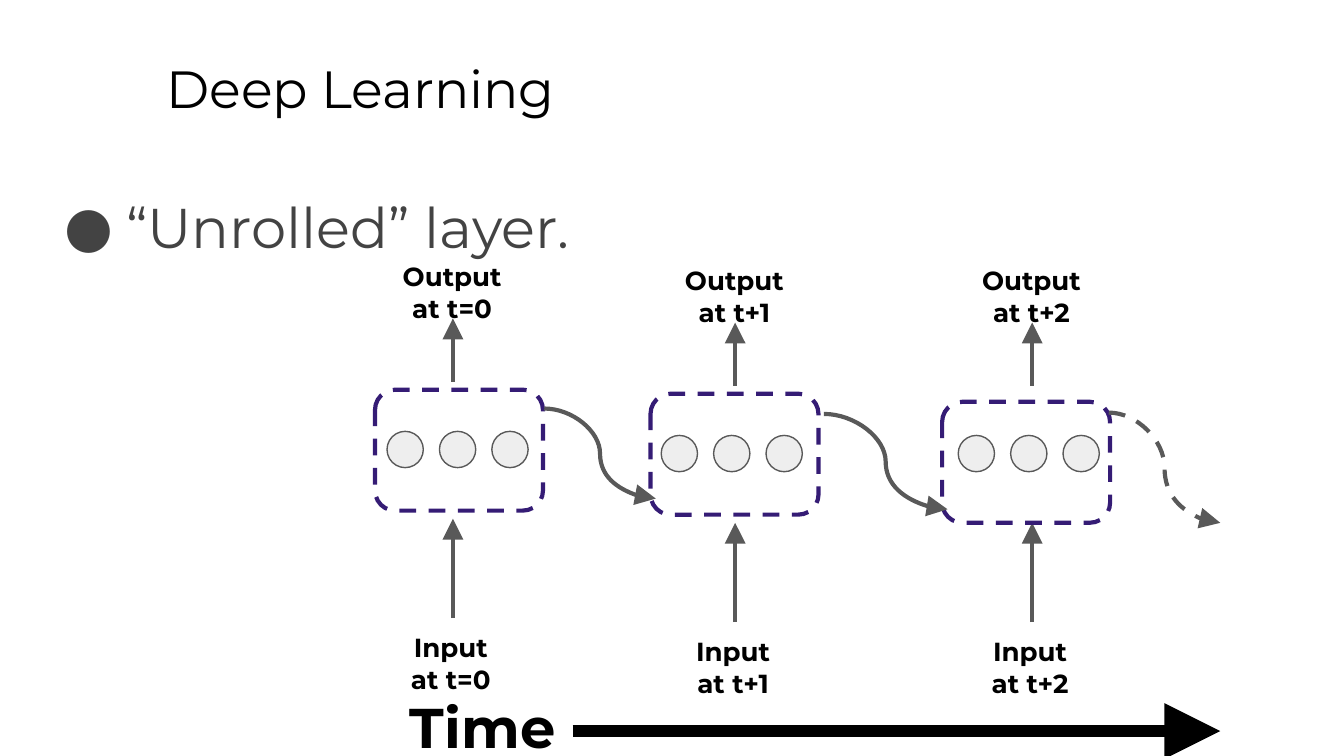
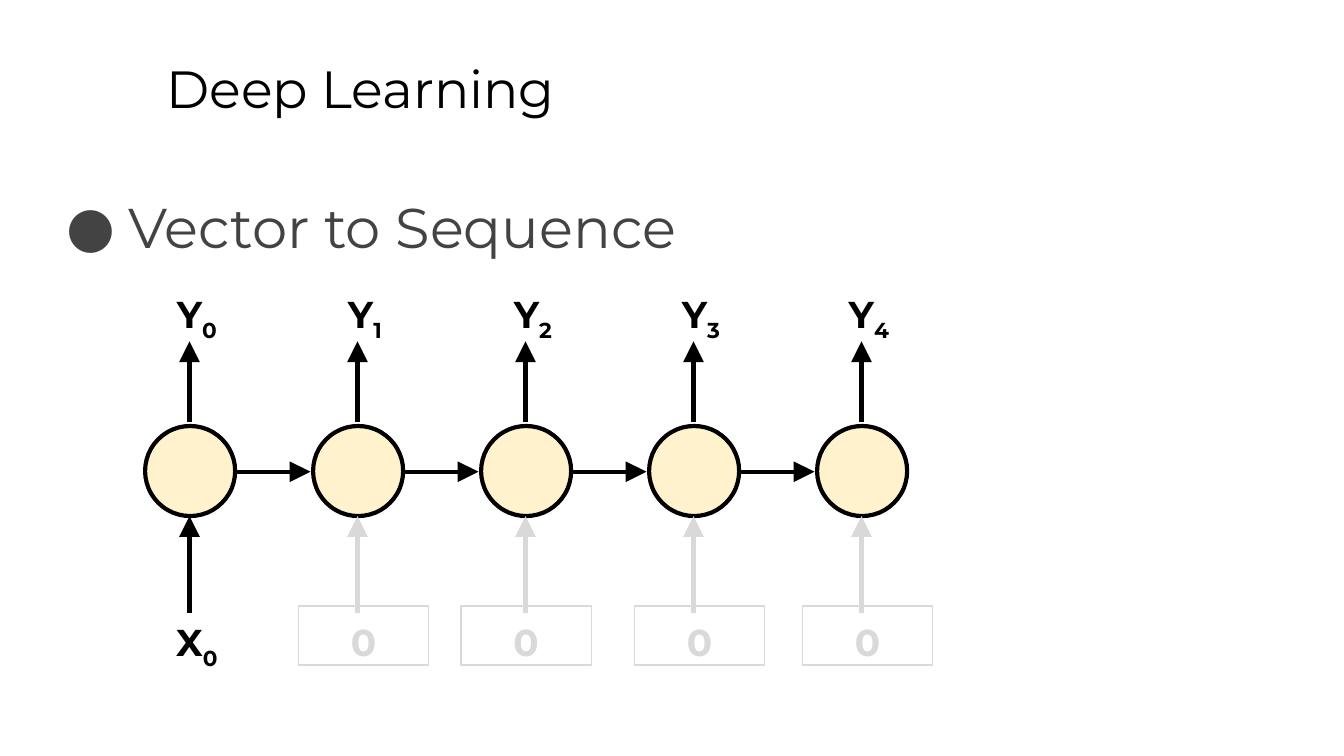
"""Build two slides on unrolled recurrent layers and vector-to-sequence networks."""

from lxml import etree
from pptx import Presentation
from pptx.dml.color import RGBColor
from pptx.enum.dml import MSO_LINE
from pptx.enum.shapes import MSO_CONNECTOR as LINK, MSO_SHAPE as SHAPE
from pptx.enum.text import MSO_ANCHOR, PP_ALIGN
from pptx.oxml.ns import qn
from pptx.util import Inches, Pt

COLORS = {
    "black": "000000",
    "body": "434343",
    "arrow": "595959",
    "layer": "351C75",
    "unit": "EEEEEE",
    "neuron": "FFF2CC",
    "muted": "D9D9D9",
}
FONT = "Montserrat"


def add_box(slide, box, kind=None, fill=None, line=None, width=0.75, dashed=False,
            lines=(), subscript="", size=14, color="black", bold=True, align=PP_ALIGN.CENTER):
    """Add a preset shape, or a text box when no kind is given, and return it."""
    lengths = [Inches(value) for value in box]
    if kind is None:
        shape = slide.shapes.add_textbox(*lengths)
    else:
        shape = slide.shapes.add_shape(kind, *lengths)
        shape.shadow.inherit = False
        if fill:
            shape.fill.solid()
            shape.fill.fore_color.rgb = RGBColor.from_string(COLORS[fill])
        else:
            shape.fill.background()
        shape.line.color.rgb = RGBColor.from_string(COLORS[line])
        shape.line.width = Pt(width)
        if dashed:
            shape.line.dash_style = MSO_LINE.DASH
    frame = shape.text_frame
    frame.word_wrap = True
    frame.vertical_anchor = MSO_ANCHOR.TOP
    frame.margin_left = frame.margin_right = Inches(0.1)
    frame.margin_top = frame.margin_bottom = Inches(0.1)
    for index, text in enumerate(lines):
        paragraph = frame.add_paragraph() if index else frame.paragraphs[0]
        paragraph.alignment = align
        for part in filter(None, (text, subscript)):
            run = paragraph.add_run()
            run.text = part
            run.font.name = FONT
            run.font.size = Pt(size)
            run.font.bold = bold
            run.font.color.rgb = RGBColor.from_string(COLORS[color])
        if subscript:
            run._r.get_or_add_rPr().set("baseline", "-25000")
    return shape


def add_arrow(slide, start, end, color="black", width=2.25, kind=LINK.STRAIGHT, dashed=False):
    """Add a connector with a large triangle at its end."""
    arrow = slide.shapes.add_connector(kind, *[Inches(value) for value in (*start, *end)])
    arrow.line.color.rgb = RGBColor.from_string(COLORS[color])
    arrow.line.width = Pt(width)
    if dashed:
        arrow.line.dash_style = MSO_LINE.DASH
    properties = arrow._element.spPr
    etree.SubElement(properties.find(qn("a:ln")), qn("a:tailEnd"),
                     type="triangle", w="lg", len="lg")
    etree.SubElement(properties, qn("a:effectLst"))


presentation = Presentation()
presentation.slide_width = Inches(10)
presentation.slide_height = Inches(10) * 9 // 16

slides = []
for topic, left, height in (("“Unrolled” layer.", 0.34, 0.85), ("Vector to Sequence", 0.36, 0.77)):
    slide = presentation.slides.add_slide(presentation.slide_layouts[6])
    add_box(slide, (1.14, 0.32, 8.52, 0.63), lines=["Deep Learning"], size=28,
            bold=False, align=PP_ALIGN.LEFT)
    body = add_box(slide, (left, 1.26, 9.52, height), lines=[topic], size=30,
                   color="body", bold=False, align=PP_ALIGN.LEFT)
    paragraph = body.text_frame.paragraphs[0]
    paragraph.line_spacing = 1.15
    paragraph.space_after = Pt(16)
    properties = paragraph._p.get_or_add_pPr()
    properties.set("marL", str(Inches(0.5)))
    properties.set("indent", str(Inches(-0.46)))
    bullet_color = etree.SubElement(properties, qn("a:buClr"))
    etree.SubElement(bullet_color, qn("a:srgbClr"), val=COLORS["body"])
    etree.SubElement(properties, qn("a:buFont"), typeface=FONT)
    etree.SubElement(properties, qn("a:buChar"), char="●")
    slides.append(slide)
unrolled, sequence = slides

time_steps = [
    (["Output at t=0"], ["Input", "at t=0"], 3.37, 0, (2.79, 2.9), 2.88),
    (["Output at t+1"], ["Input at t+1"], 5.47, 0.03, (4.84, 2.93), 4.92),
    (["Output at t+2"], ["Input at t+2"], 7.68, 0.03, (7.01, 2.99), 7.13),
]
for output_lines, input_lines, center, drop, layer_corner, first_unit in time_steps:
    add_arrow(unrolled, (center, 2.84 + drop), (center, 2.37 + drop), "arrow")
    add_arrow(unrolled, (center, 4.6 + drop), (center, 3.86 + drop), "arrow")
    add_box(unrolled, (center - 0.49, 1.84 + drop, 0.97, 0.37), lines=output_lines)
    add_box(unrolled, (center - 0.5, 4.6 + drop, 0.97, 0.37), lines=input_lines)
    add_box(unrolled, (*layer_corner, 1.25, 0.9), SHAPE.ROUNDED_RECTANGLE,
            line="layer", width=2.25, dashed=True)
    for unit in range(3):
        add_box(unrolled, (first_unit + 0.39 * unit, 3.21 + drop, 0.27, 0.27), SHAPE.OVAL,
                fill="unit", line="arrow")

state_links = [
    ((4.05, 3.04), (4.88, 3.71), False),
    ((6.13, 3.08), (7.05, 3.79), False),
    ((8.25, 3.07), (9.08, 3.89), True),
]
for start, end, dashed in state_links:
    add_arrow(unrolled, start, end, "arrow", kind=LINK.CURVE, dashed=dashed)

add_box(unrolled, (2.95, 5.05, 1.75, 0.63), lines=["Time"], size=30, align=PP_ALIGN.LEFT)
add_arrow(unrolled, (4.26, 5.44), (9.08, 5.44), width=6)

input_lefts = [0.98, 2.22, 3.43, 4.72, 5.97]
for index, input_left in enumerate(input_lefts):
    left = 1.08 + 1.25 * index
    center = left + 0.33
    add_box(sequence, (left, 3.17, 0.67, 0.67), SHAPE.OVAL,
            fill="neuron", line="black", width=2.25)
    add_arrow(sequence, (center, 3.14), (center, 2.54))
    add_arrow(sequence, (center, 4.56), (center, 3.84), "muted" if index else "black")
    add_box(sequence, (left - 0.1, 2.07, 0.97, 0.44), lines=["Y"], subscript=str(index), size=20)
    input_box = (input_left, 4.51, 0.97, 0.44)
    if index:
        add_box(sequence, input_box, SHAPE.RECTANGLE, line="muted",
                lines=["0"], size=20, color="muted")
    else:
        add_box(sequence, input_box, lines=["X"], subscript="0", size=20)
    if index < len(input_lefts) - 1:
        add_arrow(sequence, (left + 0.67, 3.51), (left + 1.23, 3.51))

presentation.save("out.pptx")
